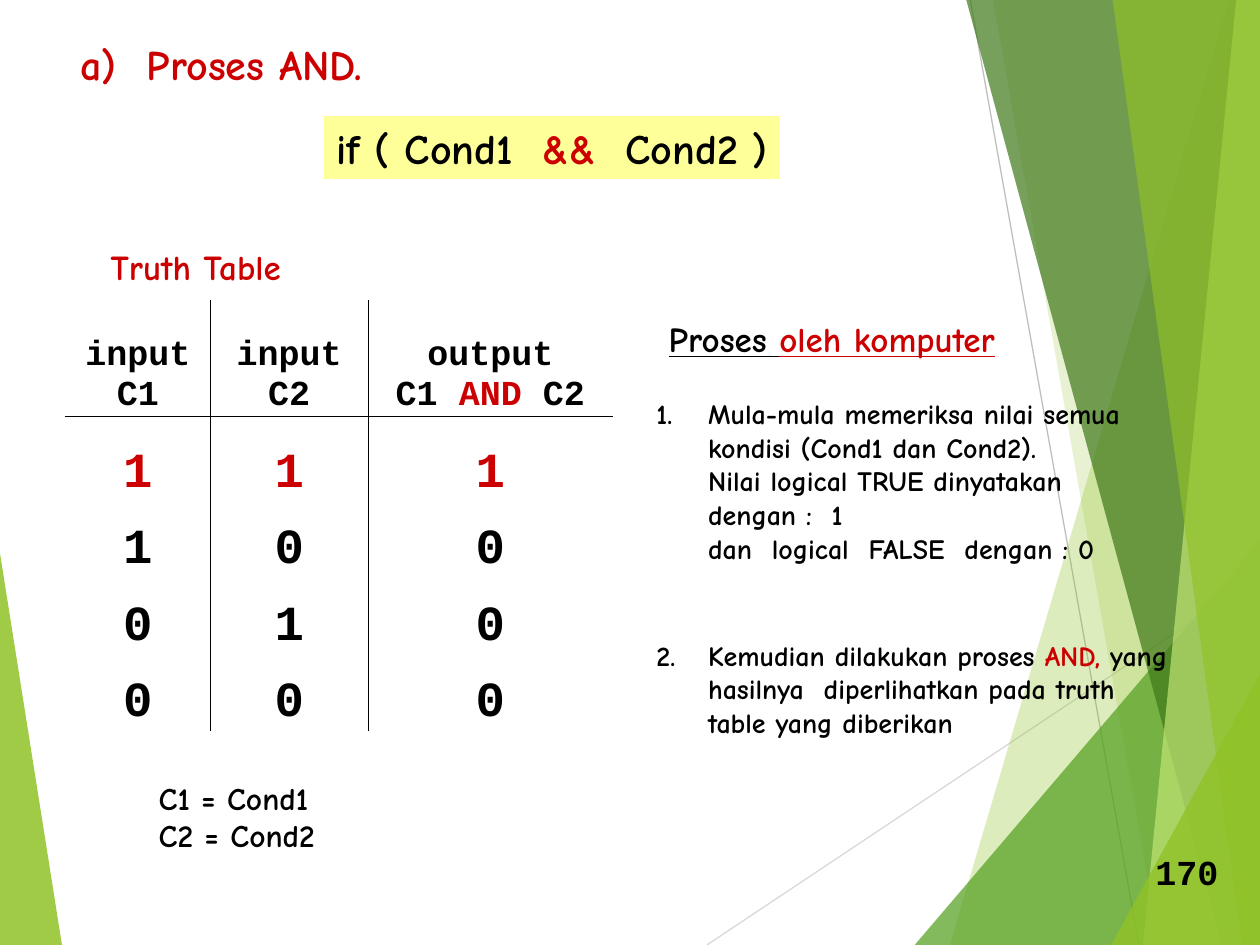
from pptx import Presentation
from pptx.dml.color import RGBColor
from pptx.enum.shapes import MSO_CONNECTOR, MSO_SHAPE
from pptx.enum.text import MSO_ANCHOR, MSO_AUTO_SIZE, PP_ALIGN
from pptx.oxml.ns import qn
from pptx.util import Cm, Pt
from lxml import etree

LEFT, CENTER = PP_ALIGN.LEFT, PP_ALIGN.CENTER
TOP, BOTTOM = MSO_ANCHOR.TOP, MSO_ANCHOR.BOTTOM
NO_AUTOSIZE = MSO_AUTO_SIZE.NONE
STRAIGHT, RECTANGLE = MSO_CONNECTOR.STRAIGHT, MSO_SHAPE.RECTANGLE

WIDTH, HEIGHT = 25.4, 19.05
COLORS = {
    "black": "000000", "red": "CC0000", "yellow": "FFFF99",
    "lime": "90C226", "green": "54A021", "forest": "3F7819", "pale": "C0E474",
    "light gray": "D9D9D9", "gray": "BFBFBF",
}
HAND, MONO = "Comic Neue", "Courier New"


def rgb(color):
    return RGBColor.from_string(COLORS[color])


def right_band(top, bottom):
    """Corners of a band that runs from a slanted left edge to the slide's right edge."""
    return [(top, 0), (bottom, HEIGHT), (WIDTH, HEIGHT), (WIDTH, 0)]


class SlideBuilder:
    def __init__(self, slide):
        self.slide = slide
        self.shapes = slide.shapes

    def facet(self, corners, color, opacity):
        points = [(Cm(x), Cm(y)) for x, y in corners]
        builder = self.shapes.build_freeform(*points[0])
        builder.add_line_segments(points[1:])
        facet = builder.convert_to_shape()
        facet.shadow.inherit = False
        facet.line.fill.background()
        facet.fill.solid()
        facet.fill.fore_color.rgb = rgb(color)
        tint = facet._element.spPr.find(".//" + qn("a:srgbClr"))
        etree.SubElement(tint, qn("a:alpha"), val=str(opacity * 1000))

    def line(self, start, end, color):
        line = self.shapes.add_connector(STRAIGHT, *map(Cm, start + end))
        line.line.color.rgb = rgb(color)
        line.line.width = Pt(0.75)
        etree.SubElement(line._element.spPr, qn("a:effectLst"))

    def fill_paragraph(self, paragraph, runs, size, font=HAND, align=LEFT, underline=None):
        """Fill a paragraph with (text, color) runs."""
        spacing = {"alignment": align, "space_before": Pt(0), "space_after": Pt(0)}
        for name, value in spacing.items():
            setattr(paragraph, name, value)
        style = {"name": font, "size": Pt(size), "bold": True, "underline": underline}
        for text, color in runs:
            run = paragraph.add_run()
            run.text = text
            run.font.color.rgb = rgb(color)
            for name, value in style.items():
                setattr(run.font, name, value)

    def fill_frame(self, frame, paragraphs, size, wrap=False, **style):
        frame_format = {"word_wrap": wrap, "auto_size": NO_AUTOSIZE, "vertical_anchor": TOP}
        for name, value in frame_format.items():
            setattr(frame, name, value)
        for index, runs in enumerate(paragraphs):
            paragraph = frame.add_paragraph() if index else frame.paragraphs[0]
            self.fill_paragraph(paragraph, runs, size, **style)

    def text(self, box, paragraphs, size, **style):
        frame = self.shapes.add_textbox(*map(Cm, box)).text_frame
        self.fill_frame(frame, paragraphs, size, **style)

    def panel(self, box, color, paragraphs, size):
        panel = self.shapes.add_shape(RECTANGLE, *map(Cm, box))
        panel.shadow.inherit = False
        panel.line.fill.background()
        panel.fill.solid()
        panel.fill.fore_color.rgb = rgb(color)
        self.fill_frame(panel.text_frame, paragraphs, size)

    def placeholder(self, index, box, paragraphs, size, **style):
        """Fill a template placeholder and bring it in front of the backdrop."""
        holder = self.slide.placeholders[index]
        for name, value in zip(("left", "top", "width", "height"), box):
            setattr(holder, name, Cm(value))
        self.fill_frame(holder.text_frame, paragraphs, size, **style)
        holder._element.getparent().append(holder._element)
        return holder.text_frame

    def numbered_list(self, index, box, items, size, indent, gap):
        """Number the first paragraph of each item; the others align beneath it."""
        lines = [(number, position, runs) for number, item in enumerate(items, 1)
                 for position, runs in enumerate(item)]
        frame = self.placeholder(index, box, [runs for *_, runs in lines], size, wrap=True)
        for (number, position, _), paragraph in zip(lines, frame.paragraphs):
            properties = paragraph._p.get_or_add_pPr()
            properties.set("marL", str(Cm(indent)))
            properties.set("indent", str(0 if position else -Cm(indent)))
            if position:
                etree.SubElement(properties, qn("a:buNone"))
                continue
            if number > 1:
                paragraph.space_before = Pt(gap)
            etree.SubElement(properties, qn("a:buFontTx"))
            etree.SubElement(properties, qn("a:buAutoNum"),
                             type="arabicPeriod", startAt=str(number))

    def borders(self, cell, visible):
        properties = cell._tc.get_or_add_tcPr()
        for side in ("lnL", "lnR", "lnT", "lnB"):
            border = etree.SubElement(properties, qn("a:" + side), w=str(Pt(0.75)))
            if side in visible:
                fill = etree.SubElement(border, qn("a:solidFill"))
                etree.SubElement(fill, qn("a:srgbClr"), val=COLORS["black"])
            else:
                etree.SubElement(border, qn("a:noFill"))

    def truth_table(self, left, top, widths, heights, rows):
        frame = self.shapes.add_table(len(rows), len(widths), Cm(left), Cm(top),
                                      Cm(sum(widths)), Cm(sum(heights)))
        table = frame.table
        table.first_row = table.horz_banding = False
        for column, width in zip(table.columns, widths):
            column.width = Cm(width)
        cell_format = {"margin_left": 0, "margin_right": 0, "margin_top": 0,
                       "margin_bottom": 0, "vertical_anchor": BOTTOM}
        for r, (height, row) in enumerate(zip(heights, rows)):
            table.rows[r].height = Cm(height)
            for c, paragraphs in enumerate(row):
                cell = table.cell(r, c)
                self.fill_frame(cell.text_frame, paragraphs, 28 if r else 20,
                                wrap=True, font=MONO, align=CENTER)
                for name, value in cell_format.items():
                    setattr(cell, name, value)
                sides = {"lnL": c > 0, "lnR": c < len(widths) - 1,
                         "lnT": r == 1, "lnB": r == 0}
                self.borders(cell, [side for side, shown in sides.items() if shown])
                cell.fill.background()


def backdrop(page):
    page.facet([(0, 11.15), (1.25, HEIGHT), (0, HEIGHT)], "lime", 85)
    page.line((14.25, HEIGHT), (WIDTH, 11.62), "light gray")
    page.line((19.56, 0), (22.96, HEIGHT), "gray")
    for corners, color, opacity in [
        (right_band(24.77, 19.15), "lime", 30),
        (right_band(20.02, 23.37), "lime", 20),
        ([(18.44, HEIGHT), (WIDTH, 10.9), (WIDTH, HEIGHT)], "green", 72),
        (right_band(19.48, 24.64), "forest", 70),
        (right_band(24.92, 23.04), "pale", 70),
        (right_band(22.43, 25.04), "lime", 65),
        ([(22.4, HEIGHT), (WIDTH, 13.59), (WIDTH, HEIGHT)], "lime", 80),
    ]:
        page.facet(corners, color, opacity)


def main():
    deck = Presentation()
    deck.slide_width, deck.slide_height = Cm(WIDTH), Cm(HEIGHT)
    page = SlideBuilder(deck.slides.add_slide(deck.slide_layouts[1]))
    backdrop(page)

    page.placeholder(0, (1.37, 0.64, 6.22, 1.27), [[("a)  Proses AND.", "red")]], 24)
    page.panel((6.53, 2.34, 9.19, 1.27), "yellow",
               [[("if ( Cond1  ", "black"), ("&&", "red"), ("  Cond2 )", "black")]], 24)

    page.text((1.98, 4.83, 3.99, 1.12), [[("Truth Table", "red")]], 20)
    header = [[[("input", "black")], [("C1", "black")]],
              [[("input", "black")], [("C2", "black")]],
              [[("output", "black")],
               [("C1 ", "black"), ("AND", "red"), (" C2", "black")]]]
    outcomes = [[[[(str(value), "red" if a and b else "black")]] for value in (a, b, a & b)]
                for a in (1, 0) for b in (1, 0)]
    page.truth_table(1.32, 6.05, (2.92, 3.18, 4.93), (2.34, 1.73, 1.54, 1.54, 1.54),
                     [header] + outcomes)
    page.text((2.95, 15.57, 3.66, 1.78),
              [[("C1 = Cond1", "black")], [("C2 = Cond2", "black")]], 18)

    page.text((13.23, 6.27, 7.11, 1.12),
              [[("Proses ", "black"), ("oleh komputer", "red")]], 20, underline=True)
    steps = [
        [[("Mula-mula memeriksa nilai semua kondisi (Cond1 dan Cond2).", "black")],
         [("Nilai logical TRUE dinyatakan dengan :  1", "black")],
         [("dan  logical  FALSE  dengan : 0", "black")]],
        [[("Kemudian dilakukan proses ", "black"), ("AND,", "red"),
          (" yang hasilnya  diperlihatkan pada truth table yang diberikan", "black")]],
    ]
    page.numbered_list(1, (12.98, 7.87, 10.92, 7.14), steps, 16, indent=1.04, gap=42)
    page.text((23.04, 17.02, 1.78, 1.12), [[("170", "black")]], 20, font=MONO)

    deck.save("out.pptx")


if __name__ == "__main__":
    main()
